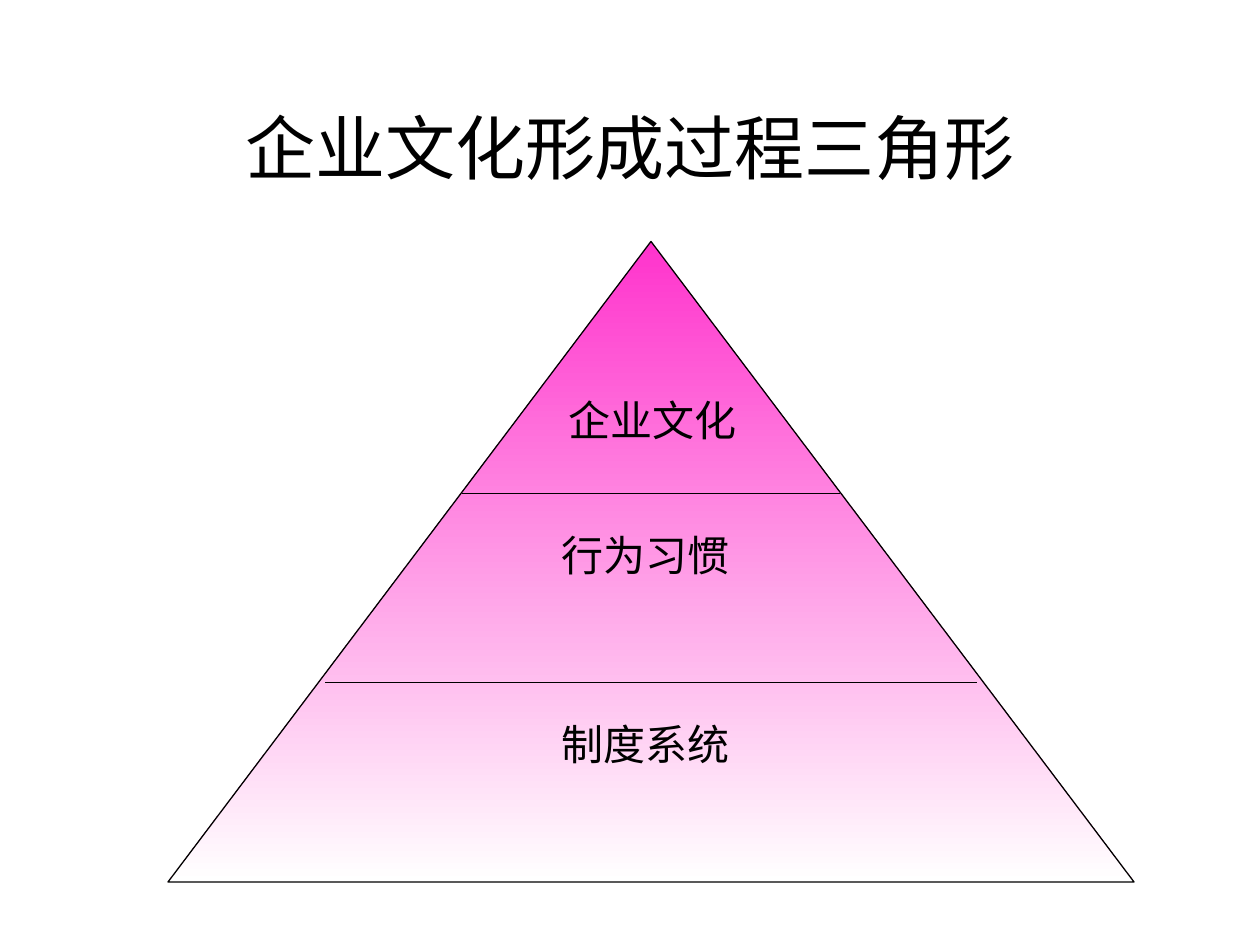
from lxml.etree import SubElement
from pptx import Presentation
from pptx.dml.color import RGBColor
from pptx.enum.shapes import MSO_CONNECTOR, MSO_SHAPE
from pptx.enum.text import MSO_ANCHOR, MSO_AUTO_SIZE, PP_ALIGN
from pptx.oxml.ns import qn
from pptx.util import Inches, Pt

WIDTH, HEIGHT = 10, 7.5
COLUMN, ROW = WIDTH / 120, HEIGHT / 90
TITLE_FONT, LABEL_FONT = "Noto Sans CJK SC", "Times New Roman"
BLACK, PINK, WHITE = "000000", "FF33CC", "FFFFFF"


def color(hex_code):
    """Turn a hex string into a colour."""
    return RGBColor.from_string(hex_code)


def grid(column, row):
    """Turn grid columns and rows into a pair of lengths."""
    return Inches(column * COLUMN), Inches(row * ROW)


def add_text(paragraph, words, size, font, east_asian=TITLE_FONT):
    """Add one run with its Latin and East Asian fonts."""
    run = paragraph.add_run()
    run.text = words
    run.font.size = Pt(size)
    run.font.name = font
    run.font.color.rgb = color(BLACK)
    latin = run.font._element.find(qn("a:latin"))
    latin.addnext(latin.makeelement(qn("a:ea"), {"typeface": east_asian}))


def outline(line):
    """Give a line the thin black stroke of the pyramid."""
    line.color.rgb = color(BLACK)
    line.width = Pt(0.74)


def set_title(slide, words):
    """Place and fill the title placeholder."""
    title = slide.shapes.title
    title.left, title.top = grid(6, 5)
    title.width, title.height = grid(108, 18)
    frame = title.text_frame
    frame.vertical_anchor = MSO_ANCHOR.MIDDLE
    paragraph = frame.paragraphs[0]
    paragraph.alignment = PP_ALIGN.CENTER
    add_text(paragraph, words, 40, TITLE_FONT)


def add_pyramid(slide):
    """Draw the triangle fading downwards from pink to white."""
    pyramid = slide.shapes.add_shape(
        MSO_SHAPE.ISOSCELES_TRIANGLE, *grid(16, 23), *grid(92, 61))
    pyramid.shadow.inherit = False
    pyramid.fill.gradient()
    pyramid.fill.gradient_angle = 270
    for stop, position, shade in zip(
            pyramid.fill.gradient_stops, (0, 1), (PINK, WHITE)):
        stop.position = position
        stop.color.rgb = color(shade)
    outline(pyramid.line)


def add_divider(slide, left, right, row):
    """Draw a level line between two pyramid layers."""
    divider = slide.shapes.add_connector(
        MSO_CONNECTOR.STRAIGHT, *grid(left, row), *grid(right, row))
    outline(divider.line)
    SubElement(divider._element.spPr, qn("a:effectLst"))


def add_layer_label(slide, words, left, row, width, alignment):
    """Name one pyramid layer."""
    label = slide.shapes.add_textbox(*grid(left, row), *grid(width, 6))
    frame = label.text_frame
    frame.word_wrap = True
    frame.auto_size = MSO_AUTO_SIZE.SHAPE_TO_FIT_TEXT
    paragraph = frame.paragraphs[0]
    paragraph.alignment = alignment
    paragraph.space_before = Pt(15)
    add_text(paragraph, words, 24, LABEL_FONT)


def main():
    """Build the slide and save it."""
    deck = Presentation()
    deck.slide_width, deck.slide_height = Inches(WIDTH), Inches(HEIGHT)
    slide = deck.slides.add_slide(deck.slide_layouts[5])
    slide.background.fill.solid()
    slide.background.fill.fore_color.rgb = color(WHITE)

    set_title(slide, "企业文化形成过程三角形")
    add_pyramid(slide)
    for left, right, row in ((31, 93, 65), (44, 80, 47)):
        add_divider(slide, left, right, row)
    for words, left, row, width, alignment in (
            ("企业文化", 53, 37, 19, PP_ALIGN.LEFT),
            ("行为习惯", 35, 49.8, 53, PP_ALIGN.CENTER),
            ("制度系统", 24, 67.8, 75, PP_ALIGN.CENTER)):
        add_layer_label(slide, words, left, row, width, alignment)
    deck.save("out.pptx")


main()
